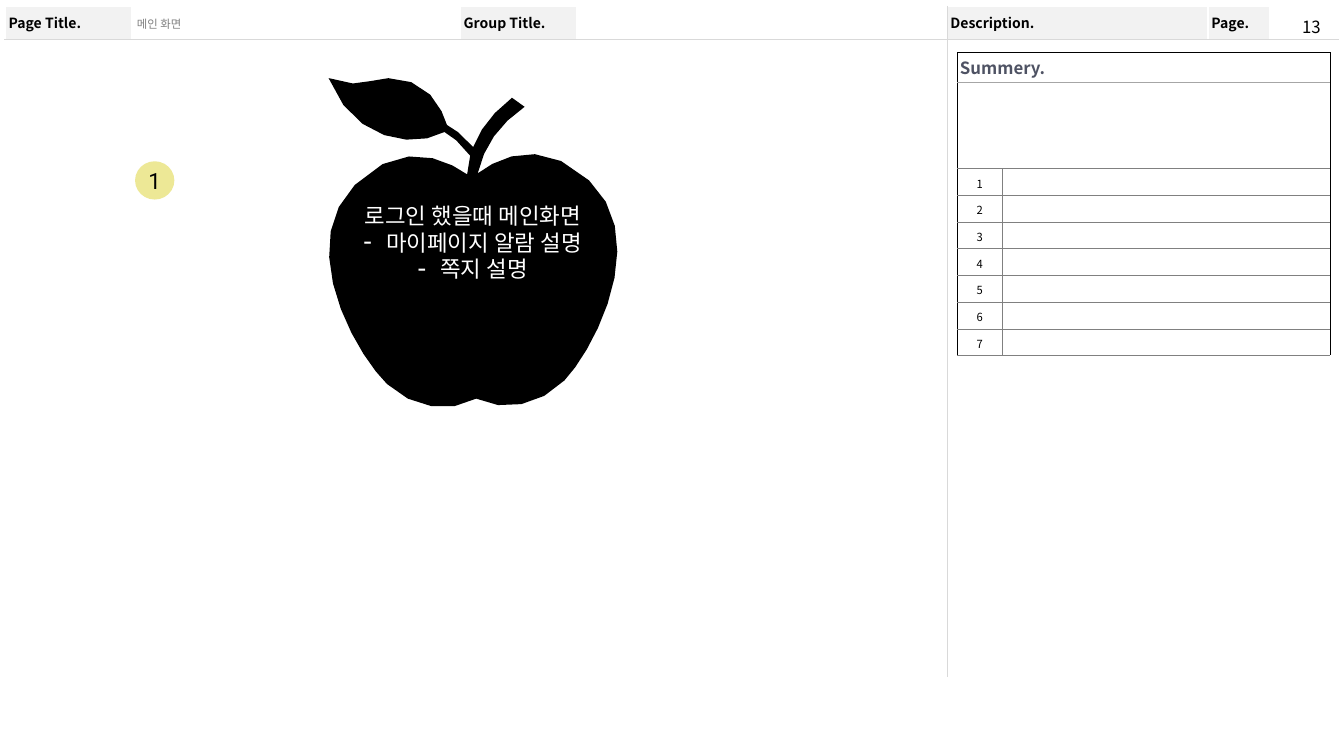
import dataclasses
import math
import typing

import lxml.etree
import pptx
import pptx.dml.color
import pptx.enum.shapes
import pptx.enum.text
import pptx.oxml
import pptx.oxml.ns
import pptx.util

Inches = pptx.util.Inches
Pt = pptx.util.Pt
MID = pptx.enum.text.MSO_ANCHOR.MIDDLE
MSO = pptx.enum.shapes.MSO_SHAPE
LEFT = pptx.enum.text.PP_ALIGN.LEFT
CENTER = pptx.enum.text.PP_ALIGN.CENTER
NOTO = "Noto Sans CJK KR"
SIDES = {"l": "lnL", "r": "lnR", "t": "lnT", "b": "lnB"}
WHITE, PALE, GRAY = ("FFFFFF", 2), ("D9D9D9", 0.25), ("808080", 0.25)
BLACK, SOFT = ("000000", 1), ("A6A6A6", 0.25)


@dataclasses.dataclass
class Style:
    size: float
    face: str
    tint: str = "000000"
    bold: bool = False
    align: typing.Any = LEFT


@dataclasses.dataclass
class Box:
    left: float
    top: float
    width: float
    height: float

    def emu(self) -> list:
        return [Inches(v) for v in (self.left, self.top, self.width, self.height)]


HEAD = Style(20, NOTO, bold=True)
TITLE = Style(24, NOTO, "4E5263", True)
ROW = Style(16, NOTO, align=CENTER)
PATH = Style(16.2, "Arial", "808080")
PAGE = Style(24, NOTO)
MARK = Style(32, "Roboto", align=CENTER)
NOTE = Style(32, "Roboto", "FFFFFF", align=CENTER)


def color(code: str) -> pptx.dml.color.RGBColor:
    return pptx.dml.color.RGBColor.from_string(code)


def apply(thing: typing.Any, values: dict) -> None:
    for name, value in values.items():
        setattr(thing, name, value)


def pad(thing: typing.Any, inset: float) -> None:
    for side in ("left", "top", "right", "bottom"):
        setattr(thing, "margin_" + side, Inches(inset))


def write(para: typing.Any, text: str, style: Style) -> None:
    run = para.add_run()
    run.text = text
    para.alignment = style.align
    apply(run.font, {"size": Pt(style.size), "name": style.face, "bold": style.bold})
    run.font.color.rgb = color(style.tint)


def dash(para: typing.Any) -> None:
    props = para._p.get_or_add_pPr()
    props.set("marL", str(Inches(0.44)))
    props.set("indent", str(-Inches(0.44)))
    for tag, key, value in (("buSzPct", "val", "123000"),
                            ("buFont", "typeface", "Roboto"), ("buChar", "char", "-")):
        lxml.etree.SubElement(props, pptx.oxml.ns.qn("a:" + tag)).set(key, value)


def edge(cell: typing.Any, lines: dict) -> None:
    props = cell._tc.get_or_add_tcPr()
    order = [side for side in SIDES if side in lines]
    for spot, side in enumerate(order):
        tint, width = lines[side]
        props.insert(spot, pptx.oxml.parse_xml(
            f'<a:{SIDES[side]} {pptx.oxml.ns.nsdecls("a")} w="{int(Pt(width))}">'
            f'<a:solidFill><a:srgbClr val="{tint}"/></a:solidFill></a:{SIDES[side]}>'))


def grid(slide: typing.Any, box: Box, cols: list, rows: list, inset: float) -> typing.Any:
    table = slide.shapes.add_table(len(rows), len(cols), *box.emu()).table
    apply(table, {"first_row": False, "horz_banding": False})
    for col, width in zip(table.columns, cols):
        col.width = Inches(width)
    for row, height in zip(table.rows, rows):
        row.height = Inches(height)
    for cell in table.iter_cells():
        cell.fill.background()
        cell.vertical_anchor = MID
        pad(cell, inset)
    return table


def label(cell: typing.Any, text: str, style: Style, fill: str = "") -> None:
    write(cell.text_frame.paragraphs[0], text, style)
    if fill:
        cell.fill.solid()
        cell.fill.fore_color.rgb = color(fill)


def paint(shape: typing.Any, fill: str) -> typing.Any:
    shape.shadow.inherit = False
    shape.fill.solid()
    shape.fill.fore_color.rgb = color(fill)
    shape.line.fill.background()
    frame = shape.text_frame
    apply(frame, {"word_wrap": True, "vertical_anchor": MID})
    pad(frame, 0.06)
    return frame


def textbox(slide: typing.Any, box: Box, text: str, style: Style, form: dict) -> typing.Any:
    frame = slide.shapes.add_textbox(*box.emu()).text_frame
    pad(frame, 0.1)
    apply(frame, form)
    write(frame.paragraphs[0], text, style)
    return frame.paragraphs[0]


def trace(start: tuple, curves: list) -> list:
    """Sample a chain of cubic curves, two points per inch of chord."""
    points, (px, py) = [], start
    for ax, ay, bx, by, ex, ey in curves:
        steps = math.ceil(2 * math.dist((px, py), (ex, ey)))
        for step in range(1, steps + 1):
            t = step / steps
            u = 1 - t
            w = (u ** 3, 3 * u * u * t, 3 * u * t * t, t ** 3)
            x = sum(k * v for k, v in zip(w, (px, ax, bx, ex)))
            y = sum(k * v for k, v in zip(w, (py, ay, by, ey)))
            points.append((Inches(x), Inches(y)))
        px, py = ex, ey
    return points


TIP = (6.52, 1.55)
APPLE = [
    (7, 2.8, 8.22, 2.96, 8.82, 2.62), (8.92, 2.68, 9.17, 2.84, 9.33, 3.09),
    (9.3, 3.21, 9.28, 3.33, 9.27, 3.46), (8.88, 3.18, 7.97, 2.72, 7.04, 3.67),
    (5.83, 4.89, 7.07, 7.03, 7.68, 7.62), (8.18, 8.1, 8.92, 8.21, 9.45, 7.91),
    (9.99, 8.18, 10.72, 8.05, 11.2, 7.55), (11.79, 6.93, 12.94, 4.75, 11.69, 3.58),
    (10.74, 2.69, 9.87, 3.14, 9.48, 3.44), (9.6, 2.9, 9.91, 2.46, 10.41, 2.12),
    (10.51, 2.06, 10.28, 1.86, 10.16, 1.94), (9.77, 2.24, 9.53, 2.55, 9.39, 2.92),
    (9.2, 2.67, 8.96, 2.53, 8.87, 2.48), (8.81, 2.28, 8.62, 1.79, 8.16, 1.63),
    (7.43, 1.37, 7.3, 1.86, 6.52, 1.55),
]


def main() -> None:
    deck = pptx.Presentation()
    apply(deck, {"slide_width": Inches(26.67), "slide_height": Inches(15)})
    slide = deck.slides.add_slide(deck.slide_layouts[6])

    # Page frame
    frame = grid(slide, Box(0.1, 0.13, 26.46, 13.33),
                 [2.52, 6.51, 2.31, 7.35, 5.18, 1.22, 1.36], [0.64, 12.68], 0.07)
    heads = {0: "Page Title.", 2: "Group Title.", 4: "Description.", 5: "Page."}
    for col, text in heads.items():
        label(frame.cell(0, col), text, HEAD, "F2F2F2")
    frame.cell(1, 0).merge(frame.cell(1, 3))
    frame.cell(1, 4).merge(frame.cell(1, 6))
    for row, sides in enumerate(({"t": WHITE, "b": PALE}, {"t": PALE, "b": WHITE})):
        for col in range(7):
            last = col == 3 or (row, col) == (1, 0)
            edge(frame.cell(row, col), {"l": PALE if col == 4 else WHITE,
                                        "r": PALE if last else WHITE, **sides})

    # Page path
    path = textbox(slide, Box(2.62, 0.24, 6.49, 0.48), "메인 화면", PATH,
                   {"word_wrap": True, "vertical_anchor": MID})
    path.space_before = Pt(3)

    # Summary table
    table = grid(slide, Box(19, 1.04, 7.4, 5.98), [0.88, 6.51],
                 [0.58, 1.72] + [0.53] * 7, 0.05)
    for row in range(2):
        table.cell(row, 0).merge(table.cell(row, 1))
    label(table.cell(0, 0), "Summery.", TITLE, "FFFFFF")
    for row in range(9):
        top = (BLACK, SOFT)[row] if row < 2 else GRAY
        base = SOFT if row == 0 else GRAY
        side = BLACK if row < 2 else GRAY
        edge(table.cell(row, 0), {"l": BLACK, "r": side, "t": top, "b": base})
        edge(table.cell(row, 1), {"l": GRAY, "r": BLACK, "t": top, "b": base})
        if row > 1:
            label(table.cell(row, 0), str(row - 1), ROW)
            table.cell(row, 0).text_frame.paragraphs[0].line_spacing = 1.2

    # Page number
    textbox(slide, Box(25.77, 0.23, 0.49, 0.51), "13", PAGE,
            {"word_wrap": False, "margin_left": Inches(0.07), "margin_right": 0})

    # Numbered marker
    mark = slide.shapes.add_shape(MSO.OVAL, *Box(2.68, 3.2, 0.78, 0.76).emu())
    write(paint(mark, "EDE896").paragraphs[0], "1", MARK)

    # Apple with notes
    build = slide.shapes.build_freeform(*map(Inches, TIP))
    build.add_line_segments(trace(TIP, APPLE), close=True)
    body = paint(build.convert_to_shape(), "000000")
    write(body.paragraphs[0], "로그인 했을때 메인화면", NOTE)
    for text in ("마이페이지 알람 설명", "쪽지 설명"):
        para = body.add_paragraph()
        write(para, text, NOTE)
        dash(para)

    deck.save("out.pptx")


if __name__ == "__main__":
    main()
